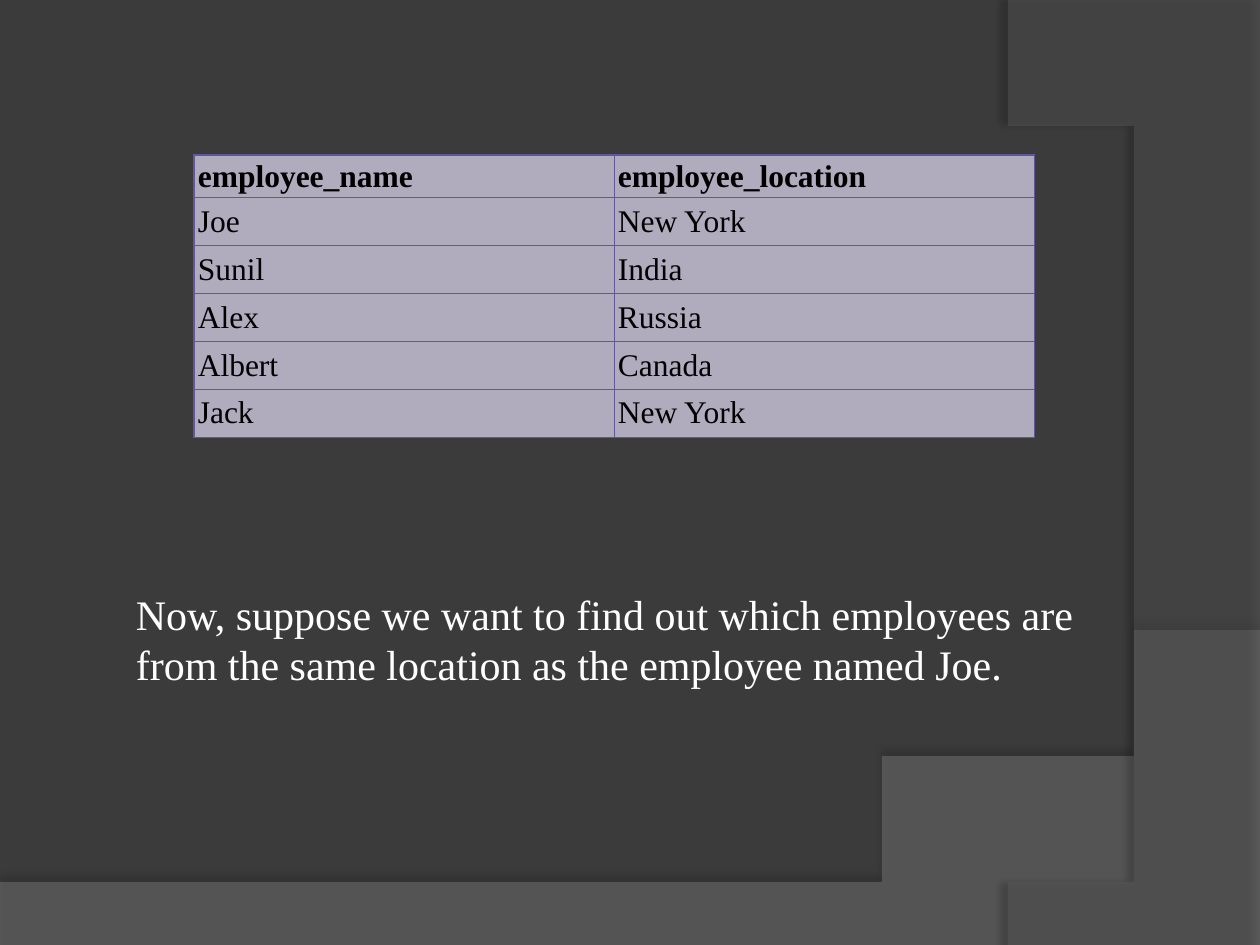
"""Builds a slide with an employee table and a question about it."""
from lxml.etree import SubElement
from pptx import Presentation
from pptx.dml.color import RGBColor
from pptx.enum.text import MSO_ANCHOR
from pptx.oxml.ns import qn
from pptx.util import Inches, Pt

BACKGROUND = RGBColor(0x3B, 0x3B, 0x3B)
WAVE = RGBColor(0x7F, 0x7F, 0x7F)
ARC = RGBColor(0x5E, 0x5E, 0x5E)
CELL = RGBColor(0xB0, 0xAC, 0xBE)
BORDER = RGBColor(0x62, 0x58, 0x99)
BLACK = RGBColor(0, 0, 0)
WHITE = RGBColor(0xFF, 0xFF, 0xFF)

EMPLOYEES = [
    ("employee_name", "employee_location"),
    ("Joe", "New York"),
    ("Sunil", "India"),
    ("Alex", "Russia"),
    ("Albert", "Canada"),
    ("Jack", "New York"),
]


def curve(start, first, second, end, steps=60):
    """Return points along a cubic curve, without its start."""
    points = []
    for step in range(1, steps + 1):
        t = step / steps
        weights = ((1 - t) ** 3, 3 * t * (1 - t) ** 2, 3 * t * t * (1 - t), t ** 3)
        corners = (start, first, second, end)
        points.append(tuple(sum(w * c[axis] for w, c in zip(weights, corners)) for axis in (0, 1)))
    return points


class SlideBuilder:
    """Holds the style and the current slide."""

    font = "Times New Roman"

    def __init__(self, page):
        self.page = page
        page.background.fill.solid()
        page.background.fill.fore_color.rgb = BACKGROUND

    def style(self, para, size, color, bold=False):
        """Format every run of a paragraph."""
        for span in para.runs:
            span.font.name = self.font
            span.font.size = Pt(size)
            span.font.bold = bold
            span.font.color.rgb = color

    def sweep(self, points, color, opacity, shadow_opacity, distance, direction):
        """Draw a translucent outline with a soft shadow."""
        builder = self.page.shapes.build_freeform(*points[0], scale=Inches(1))
        builder.add_line_segments(points[1:], close=True)
        shape = builder.convert_to_shape()
        shape.line.fill.background()
        shape.fill.solid()
        shape.fill.fore_color.rgb = color
        properties = shape.fill._xPr
        tint = properties.find(qn("a:solidFill"))[0]
        SubElement(tint, qn("a:alpha"), val=str(opacity * 1000))
        effects = SubElement(properties, qn("a:effectLst"))
        shadow = SubElement(effects, qn("a:outerShdw"), blurRad=str(Pt(4)), dist=str(Pt(distance)),
                            dir=str(direction * 60000), algn="ctr", rotWithShape="0")
        shade = SubElement(shadow, qn("a:srgbClr"), val=str(BLACK))
        SubElement(shade, qn("a:alpha"), val=str(shadow_opacity * 1000))

    def border(self, cell):
        """Line a cell on all four sides."""
        properties = cell._tc.get_or_add_tcPr()
        for position, side in enumerate(("a:lnL", "a:lnR", "a:lnT", "a:lnB")):
            line = SubElement(properties, qn(side), w=str(Pt(0.75)))
            fill = SubElement(line, qn("a:solidFill"))
            SubElement(fill, qn("a:srgbClr"), val=str(BORDER))
            properties.insert(position, line)

    def table(self, rows, left, top, width, header_height, row_height):
        """Add a table with a bold first row."""
        height = header_height + row_height * (len(rows) - 1)
        frame = self.page.shapes.add_table(len(rows), len(rows[0]), Inches(left), Inches(top),
                                           Inches(width), Inches(height))
        grid = frame.table
        for index, values in enumerate(rows):
            grid.rows[index].height = Inches(row_height if index else header_height)
            for column, value in enumerate(values):
                cell = grid.cell(index, column)
                cell.text_frame.text = value
                cell.vertical_anchor = MSO_ANCHOR.MIDDLE
                cell.margin_left = cell.margin_right = Inches(0.03)
                cell.margin_top = cell.margin_bottom = Inches(0.03)
                cell.fill.solid()
                cell.fill.fore_color.rgb = CELL
                self.style(cell.text_frame.paragraphs[0], 18, BLACK, bold=index == 0)
                self.border(cell)

    def text(self, words, left, top, width, height, size, color):
        """Add a wrapping text box."""
        box = self.page.shapes.add_textbox(Inches(left), Inches(top), Inches(width), Inches(height))
        box.text_frame.word_wrap = True
        box.text_frame.text = words
        self.style(box.text_frame.paragraphs[0], size, color)


deck = Presentation()
deck.slide_width = Inches(10)
deck.slide_height = Inches(7.5)
slide = SlideBuilder(deck.slides.add_slide(deck.slide_layouts[6]))

wave_edge = curve((10, 5.2), (5.59, 7.29), (3.91, 7.19), (0, 7.05))
slide.sweep([(0, 7.05), (0, 7.51), (10, 7.51), (10, 5.2)] + wave_edge[:-1], WAVE, 45, 35, 3.5, 270)
arc_edge = curve((8.21, 7.5), (9.35, 6.19), (10.18, 3), (8, 0))
slide.sweep([(10, 0.02), (10, 7.5), (8.21, 7.5)] + arc_edge, ARC, 40, 45, 4, 180)

slide.table(EMPLOYEES, 1.54, 1.23, 6.67, 0.34, 0.38)
slide.text("Now, suppose we want to find out which employees are from the same location "
           "as the employee named Joe.", 0.98, 4.62, 8.19, 0.91, 24, WHITE)

deck.save("out.pptx")
